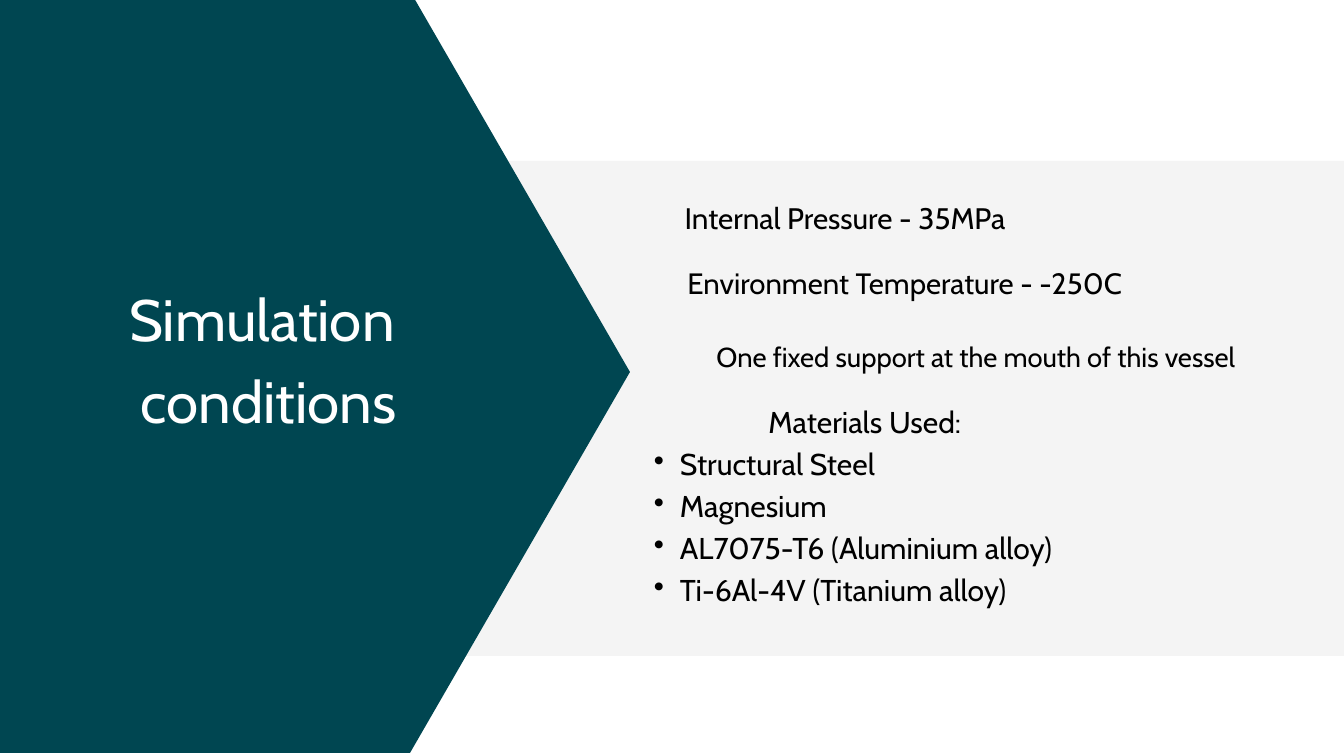
from lxml.etree import SubElement
from pptx import Presentation
from pptx.dml.color import RGBColor
from pptx.enum.shapes import MSO_SHAPE
from pptx.enum.text import MSO_ANCHOR, MSO_AUTO_SIZE, PP_ALIGN
from pptx.oxml.ns import qn
from pptx.util import Emu, Pt

PX = 9676  # EMU per px
WIDTH, HEIGHT = 1344, 756
FONT = "Cabin"
TEAL, GREY, BLACK, WHITE = "004651", "F4F4F4", "000000", "FFFFFF"


def px(value):
    return Emu(value * PX)


def paint(fill, color):
    fill.solid()
    fill.fore_color.rgb = RGBColor.from_string(color)


def finish_shape(shape, color):
    shape.shadow.inherit = False
    paint(shape.fill, color)
    shape.line.fill.background()


def add_bullet(paragraph, indent, hanging):
    properties = paragraph._p.get_or_add_pPr()
    properties.set("marL", str(px(indent)))
    properties.set("indent", str(px(-hanging)))
    SubElement(properties, qn("a:buChar")).set("char", "•")


def write_lines(shape, lines, size, spacing, color, bulleted=False):
    """Centre the lines; when bulleted, those after the first become a list."""
    frame = shape.text_frame
    frame.margin_left = frame.margin_right = frame.margin_top = frame.margin_bottom = 0
    frame.word_wrap = True
    frame.auto_size = MSO_AUTO_SIZE.NONE
    frame.vertical_anchor = MSO_ANCHOR.TOP
    frame.text = "\n".join(lines)
    for index, paragraph in enumerate(frame.paragraphs):
        paragraph.line_spacing = Pt(spacing)
        paragraph.space_before = Pt(0)
        if bulleted and index:
            paragraph.alignment = PP_ALIGN.LEFT
            add_bullet(paragraph, 51, 26)
        else:
            paragraph.alignment = PP_ALIGN.CENTER
        for run in paragraph.runs:
            run.font.name = FONT
            run.font.size = Pt(size)
            run.font.color.rgb = RGBColor.from_string(color)


def add_title_panel(slide, left, top, width, height):
    # Hexagon pointing right, bleeding off the left edge
    right, bottom, middle = left + width, top + height, top + height // 2
    inset = width // 4
    builder = slide.shapes.build_freeform(left, middle, scale=PX)
    builder.add_line_segments([
        (left + inset, top), (right - inset, top), (right, middle),
        (right - inset, bottom), (left + inset, bottom),
    ], close=True)
    finish_shape(builder.convert_to_shape(), TEAL)

    # Title, brought in front of the hexagon
    title = slide.shapes.title
    title.left, title.top = px(left + 265), px(top + 281)
    title.width, title.height = px(507), px(160)
    write_lines(title, ["Simulation ", "conditions"], 44.4, 62.1, WHITE)
    title.element.getparent().append(title.element)


def add_conditions(slide, left, top, width, height):
    # Grey band
    band = slide.shapes.add_shape(
        MSO_SHAPE.RECTANGLE, px(left), px(top), px(width), px(height))
    finish_shape(band, GREY)

    # Offset in the band, size, lines, text size, line spacing
    materials = [" Materials Used:", "Structural Steel", "Magnesium",
                 "AL7075-T6 (Aluminium alloy)", "Ti-6Al-4V (Titanium alloy)"]
    blocks = [
        (197, 33, 368, 39, ["Internal Pressure - 35MPa"], 22.6, 31.6),
        (197, 98, 488, 40, ["Environment Temperature - -250C"], 22.4, 31.4),
        (197, 174, 630, 36, ["One fixed support at the mouth of this vessel"], 20.9, 29.2),
        (165, 237, 465, 208, materials, 22.9, 32),
    ]
    for x, y, box_width, box_height, lines, size, spacing in blocks:
        box = slide.shapes.add_textbox(
            px(left + x), px(top + y), px(box_width), px(box_height))
        write_lines(box, lines, size, spacing, BLACK, bulleted=True)


def main():
    presentation = Presentation()
    presentation.slide_width, presentation.slide_height = px(WIDTH), px(HEIGHT)
    slide = presentation.slides.add_slide(presentation.slide_layouts[5])
    paint(slide.background.fill, WHITE)
    add_conditions(slide, 464, 161, 880, 495)
    add_title_panel(slide, -250, -9, 880, 762)
    presentation.save("out.pptx")


if __name__ == "__main__":
    main()
